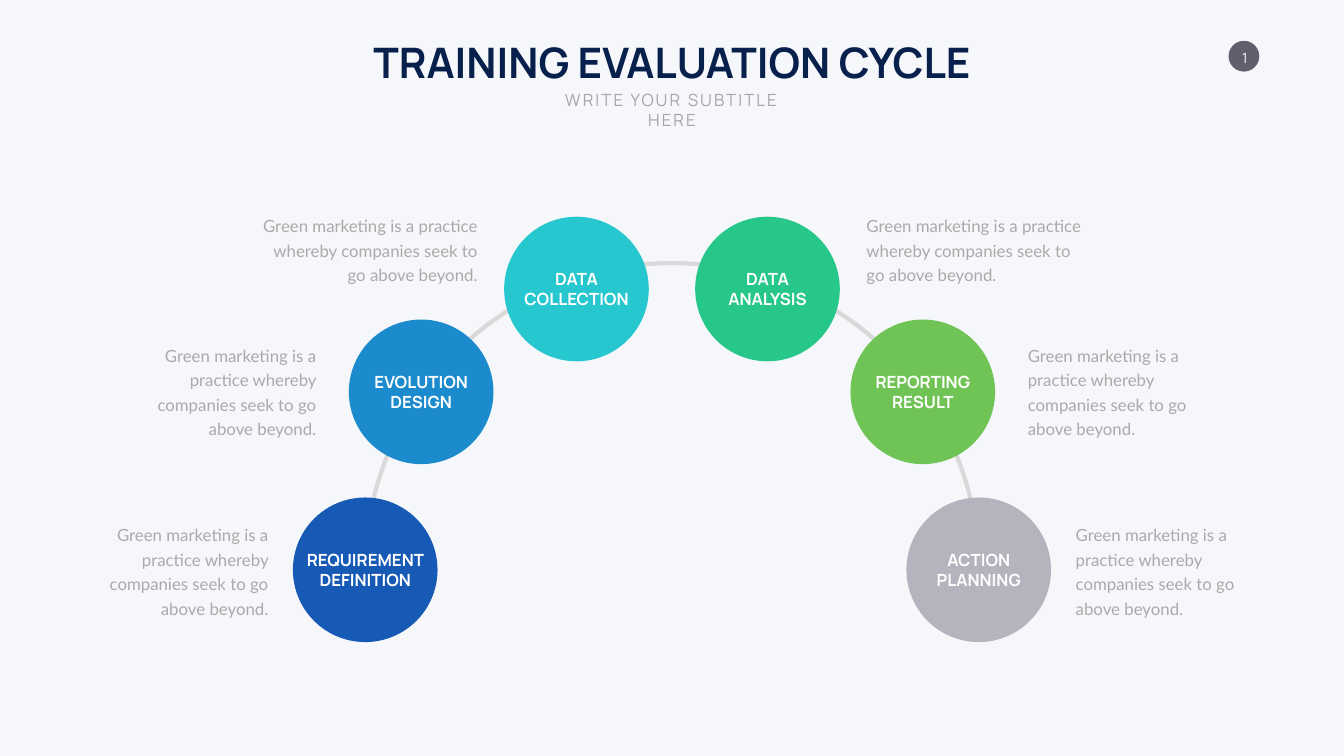
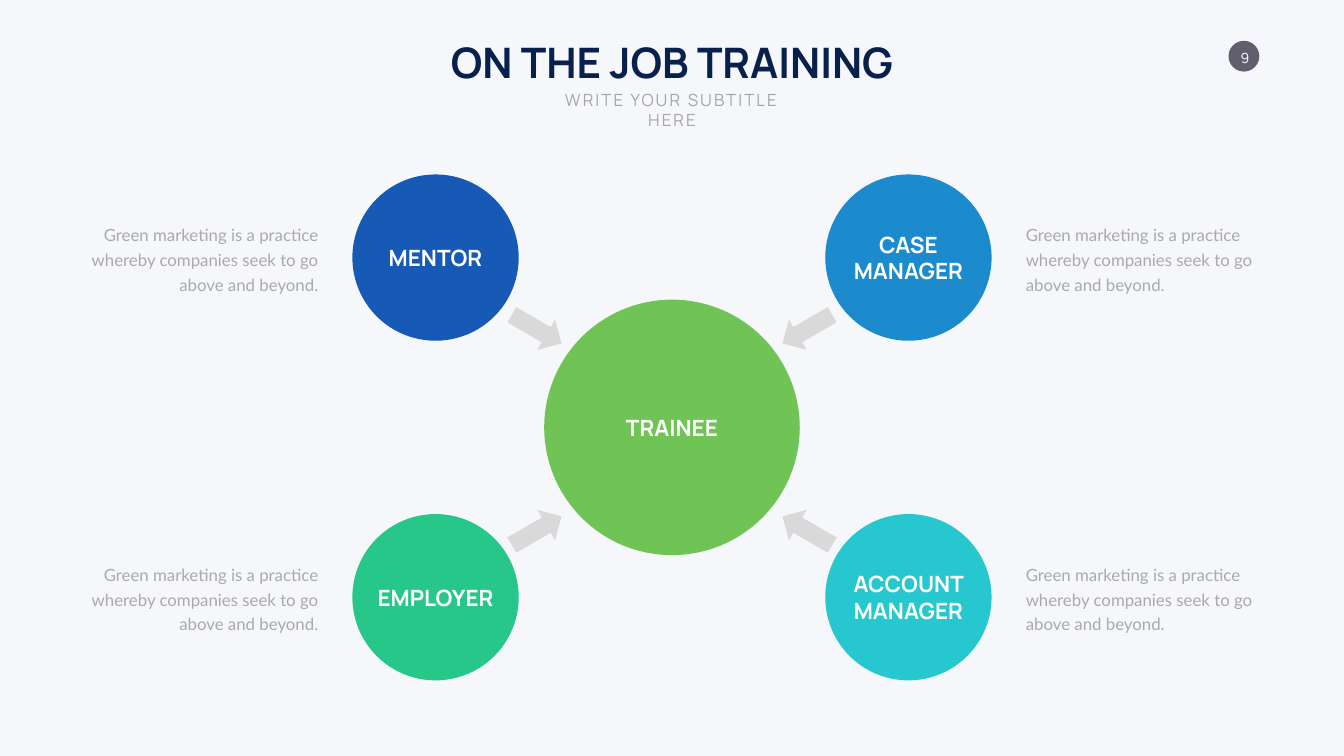
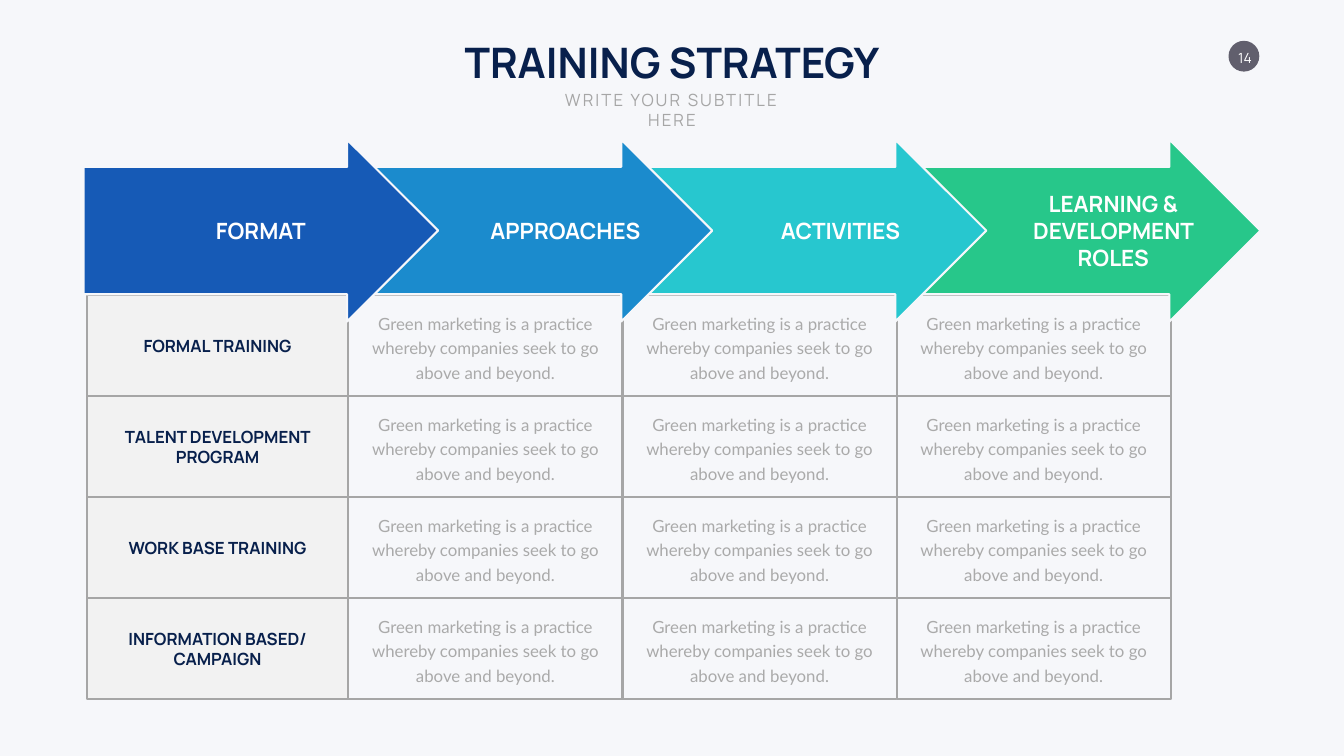
from dataclasses import dataclass
from typing import Any, Optional

from pptx import Presentation
from pptx.dml.color import RGBColor
from pptx.enum import shapes, text
from pptx.util import Pt

WIDE, HIGH = 1919.5, 1080
MID = WIDE / 2

PAPER = RGBColor(0xF6, 0xF7, 0xFA)
NAVY = RGBColor(0x08, 0x20, 0x4C)
SLATE = RGBColor(0x61, 0x5F, 0x6D)
WHITE = RGBColor(0xFF, 0xFF, 0xFF)
BLUE = RGBColor(0x16, 0x5A, 0xB6)
SKY = RGBColor(0x1B, 0x8B, 0xCD)
TEAL = RGBColor(0x27, 0xC7, 0xCF)
GREEN = RGBColor(0x27, 0xC7, 0x8A)
LIME = RGBColor(0x70, 0xC4, 0x56)
STONE = RGBColor(0xB5, 0xB3, 0xBD)
TRACK = RGBColor(0xD9, 0xD9, 0xD9)
RULE = RGBColor(0xA6, 0xA6, 0xA6)
SHADE = RGBColor(0xF2, 0xF2, 0xF2)
SOFT = RGBColor(0xAA, 0xAA, 0xAA)

HEAD, BODY = "Manrope", "Lato"
LEFT, CENTER, RIGHT = text.PP_ALIGN.LEFT, text.PP_ALIGN.CENTER, text.PP_ALIGN.RIGHT
KIND = shapes.MSO_SHAPE
SHORT = "Green marketing is a practice whereby companies seek to go above beyond."
LONG = "Green marketing is a practice whereby companies seek to go above and beyond."


@dataclass(frozen=True)
class Box:
    """A frame given by its centre and size, in points."""
    x: float
    y: float
    w: float
    h: float

    def frame(self) -> tuple[Pt, Pt, Pt, Pt]:
        return Pt(self.x - self.w / 2), Pt(self.y - self.h / 2), Pt(self.w), Pt(self.h)


@dataclass(frozen=True)
class Style:
    size: float
    color: RGBColor
    font: str = HEAD
    bold: bool = False
    align: text.PP_ALIGN = CENTER
    pitch: Optional[float] = None
    track: Optional[float] = None


@dataclass(frozen=True)
class Node:
    """A round step, placed by its side (-1 left, 1 right)."""
    words: str
    color: RGBColor
    side: int
    lines: int = 2


@dataclass(frozen=True)
class Tier:
    """One height of the cycle: a pair of steps and their notes."""
    y: float
    reach: float
    note_y: float
    note_in: float
    note_w: float
    lines: int
    pair: tuple[Node, Node]


@dataclass(frozen=True)
class Stage:
    words: str
    color: RGBColor
    x: float
    w: float = 311.8
    lines: int = 1


TITLE = Style(60, NAVY, bold=True)
SUB = Style(24, RULE, track=3)
PAGE = Style(20, WHITE)
SMALL = Style(24, WHITE, bold=True)
LARGE = Style(32, WHITE, bold=True)
ROW = Style(24, NAVY, bold=True)

TIERS = (
    Tier(814, 438.1, 814, 569.5, 270.7, 4,
         (Node("REQUIREMENT DEFINITION", BLUE, -1), Node("ACTION PLANNING", STONE, 1))),
    Tier(559.8, 358.2, 557.6, 501.1, 270.7, 4,
         (Node("EVOLUTION DESIGN", SKY, -1), Node("REPORTING RESULT", LIME, 1))),
    Tier(412.9, 136.4, 355, 270.7, 336.2, 3,
         (Node("DATA COLLECTION", TEAL, -1), Node("DATA ANALYSIS", GREEN, 1))),
)
ROLES = (
    (-1, (Node("MENTOR", BLUE, -1, 1), Node("CASE MANAGER", SKY, 1))),
    (1, (Node("EMPLOYER", GREEN, -1, 1), Node("ACCOUNT MANAGER", TEAL, 1))),
)
STAGES = (
    Stage("FORMAT", BLUE, 372.6),
    Stage("APPROACHES", SKY, 807.5),
    Stage("ACTIVITIES", TEAL, 1200.6),
    Stage("LEARNING & DEVELOPMENT ROLES", GREEN, 1590.1, 283, 3),
)
ROWS = (
    ("FORMAL TRAINING", 1),
    ("TALENT DEVELOPMENT PROGRAM", 2),
    ("WORK BASE TRAINING", 1),
    ("INFORMATION BASED/ CAMPAIGN", 2),
)


def draw(home: Any, kind: KIND, box: Box, fill: Optional[RGBColor] = None,
         line: Optional[RGBColor] = None, weight: float = 3) -> Any:
    shape = home.shapes.add_shape(kind, *box.frame())
    shape.shadow.inherit = False
    if fill is None:
        shape.fill.background()
    else:
        shape.fill.solid()
        shape.fill.fore_color.rgb = fill
    if line is None:
        shape.line.fill.background()
    else:
        shape.line.color.rgb = line
        shape.line.width = Pt(weight)
    return shape


def write(slide: Any, words: str, box: Box, style: Style, wrap: bool = True,
          anchor: text.MSO_ANCHOR = text.MSO_ANCHOR.MIDDLE) -> Any:
    frame = slide.shapes.add_textbox(*box.frame()).text_frame
    frame.word_wrap = wrap
    frame.auto_size = text.MSO_AUTO_SIZE.SHAPE_TO_FIT_TEXT
    frame.vertical_anchor = anchor
    para = frame.paragraphs[0]
    para.alignment = style.align
    if style.pitch:
        para.line_spacing = Pt(style.pitch)
    run = para.add_run()
    run.text = words
    run.font.name, run.font.size, run.font.bold = style.font, Pt(style.size), style.bold
    run.font.color.rgb = style.color
    if style.track:
        run._r.get_or_add_rPr().set("spc", str(int(style.track * 100)))
    return frame


def label(slide: Any, words: str, x: float, y: float, w: float, lines: int, style: Style) -> None:
    write(slide, words, Box(x, y, w, lines * style.size * 1.22 + 7.2), style)


def note(slide: Any, words: str, x: float, y: float, w: float, lines: int,
         align: text.PP_ALIGN) -> None:
    style = Style(24, SOFT, BODY, align=align, pitch=35)
    write(slide, words, Box(x, y, w, lines * 35 + 4.5), style)


def side_note(slide: Any, words: str, side: int, inner: float, y: float, w: float,
              lines: int) -> None:
    """Put a note beyond the inner distance from the middle, aligned towards it."""
    note(slide, words, MID + side * (inner + w / 2), y, w, lines, LEFT if side > 0 else RIGHT)


def start(deck: Any, title: str, width: float, page: int) -> Any:
    """Add a slide with its heading and page badge."""
    slide = deck.slides.add_slide(deck.slide_layouts[6])
    draw(slide, KIND.OVAL, Box(1776.6, 80.3, 44, 44), SLATE)
    badge = write(slide, str(page), Box(1778, 82, 29.5, 24.5), PAGE, False)
    badge.margin_left = badge.margin_right = badge.margin_top = badge.margin_bottom = 0
    top = text.MSO_ANCHOR.TOP
    write(slide, title, Box(MID, 88.2, width, 80), TITLE, False, top)
    write(slide, "WRITE YOUR SUBTITLE HERE", Box(MID, 142, 391, 36), SUB, True, top)
    return slide


def cycle(deck: Any) -> None:
    slide = start(deck, "TRAINING EVALUATION CYCLE", 913, 1)
    base = TIERS[0]
    size = base.reach * 2
    arc = draw(slide, KIND.ARC, Box(MID, base.y, size, size), line=TRACK, weight=6)
    arc.adjustments[0], arc.adjustments[1] = 108, 0  # 180 and 0 degrees
    for tier in TIERS:
        for node in tier.pair:
            x = MID + node.side * tier.reach
            draw(slide, KIND.OVAL, Box(x, tier.y, 206.6, 206.6), node.color)
            label(slide, node.words, x, tier.y, 186.5, node.lines, SMALL)
            side_note(slide, SHORT, node.side, tier.note_in, tier.note_y,
                      tier.note_w, tier.lines)


def roles(deck: Any) -> None:
    slide = start(deck, "ON THE JOB TRAINING", 674.6, 9)
    hub = 610.6
    draw(slide, KIND.OVAL, Box(MID, hub, 365, 365), LIME)
    label(slide, "TRAINEE", MID, hub, 192.2, 1, LARGE)
    for down, pair in ROLES:
        y = hub + down * 242.6
        for node in pair:
            x = MID + node.side * 337.7
            draw(slide, KIND.OVAL, Box(x, y, 237.6, 237.6), node.color)
            label(slide, node.words, x, y, 192.2, node.lines, LARGE)
            side_note(slide, LONG, node.side, 498.2, y, 341.3, 3)
            kind = KIND.RIGHT_ARROW if node.side < 0 else KIND.LEFT_ARROW
            spot = Box(MID + node.side * 193.3, 614.2 + down * 144, 82, 50.4)
            draw(slide, kind, spot, TRACK).rotation = 30 * node.side * down % 360


def plan(deck: Any) -> None:
    slide = start(deck, "TRAINING STRATEGY", 633.6, 14)
    left, first, step = 123.8, 373.7, 391.5
    top, tall = 421.9, 144.3
    for col in range(len(STAGES)):
        w = step if col else first
        x = left + first + (col - 0.5) * step if col else left + first / 2
        group = slide.shapes.add_group_shape()
        for row, (words, lines) in enumerate(ROWS):
            y = top + (row + 0.5) * tall
            draw(group, KIND.RECTANGLE, Box(x, y, w, tall), PAPER if col else SHADE, RULE)
            if col:
                note(slide, LONG, x, y, 341.3, 3, CENTER)
            else:
                label(slide, words, x, y, 331.9, lines, ROW)
    for col, stage in reversed(list(enumerate(STAGES))):
        spot = Box(372.6 + col * step, 329.4, 506.2, 259.9)
        arrow = draw(slide, KIND.RIGHT_ARROW, spot, stage.color, PAPER)
        arrow.adjustments[0], arrow.adjustments[1] = 0.7, 0.5
    for stage in STAGES:
        label(slide, stage.words, stage.x, 329.4, stage.w, stage.lines, LARGE)


def main() -> None:
    deck = Presentation()
    deck.slide_width, deck.slide_height = Pt(WIDE), Pt(HIGH)
    back = deck.slide_master.background.fill
    back.solid()
    back.fore_color.rgb = PAPER
    for build in (cycle, roles, plan):
        build(deck)
    deck.save("out.pptx")


if __name__ == "__main__":
    main()
